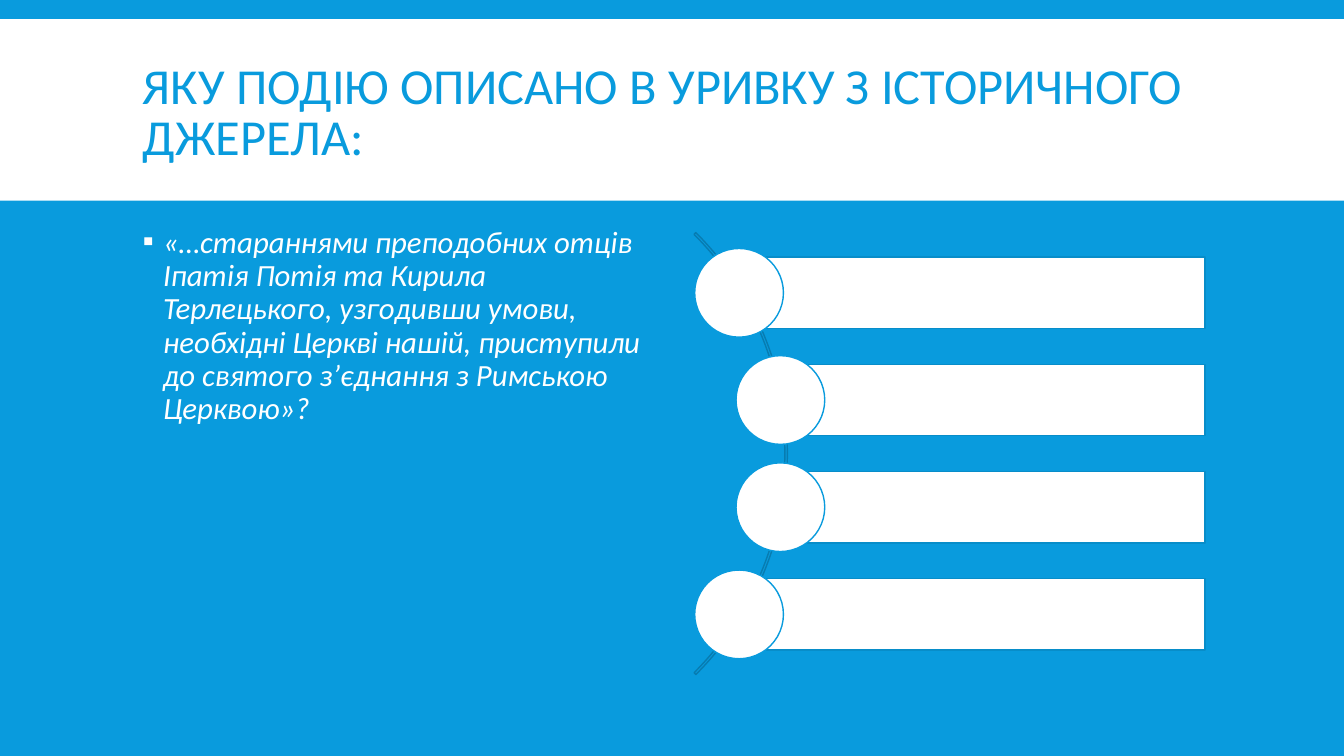
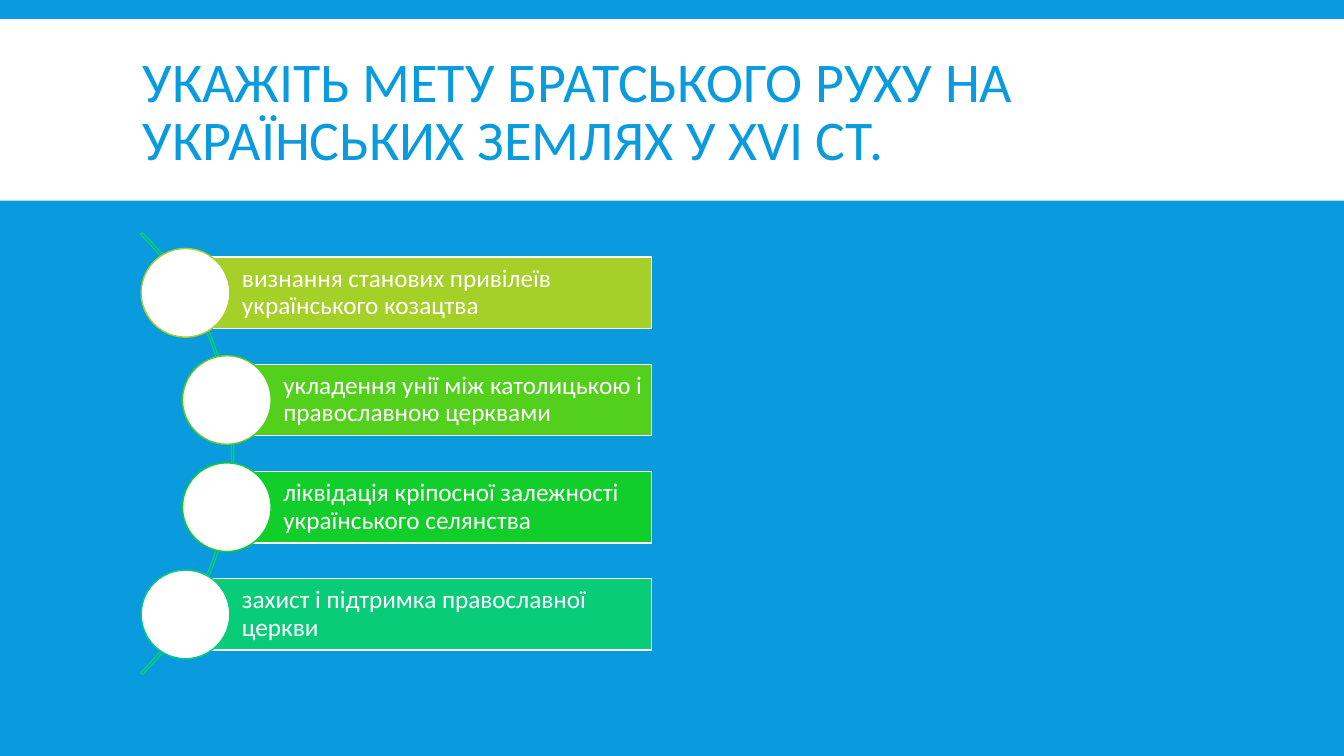
from pptx import Presentation
from pptx.dml.color import RGBColor
from pptx.enum.shapes import MSO_SHAPE
from pptx.enum.text import MSO_ANCHOR, PP_ALIGN
from pptx.oxml.ns import qn
from pptx.util import Inches, Pt
from lxml.etree import SubElement

# Content
COLORS = {"blue": "099BDD", "white": "FFFFFF", "edge": "088DC9", "arc": "077CB1",
          "lime": "A5D028", "grass": "53D01C", "green": "12CE2B", "mint": "08CC78"}

SLIDES = [
    {"title": "ЯКУ ПОДІЮ ОПИСАНО В УРИВКУ З ІСТОРИЧНОГО ДЖЕРЕЛА:",
     "title_size": 36,
     "quote": "«…стараннями преподобних отців Іпатія Потія та Кирила Терлецького, "
              "узгодивши умови, необхідні Церкві нашій, приступили до святого "
              "з’єднання з Римською Церквою»?",
     "list_left": 7.33, "arc": "arc",
     # Each answer: text, bar fill, bar line, circle line
     "answers": [("", "white", "edge", "blue")] * 4},
    {"title": "УКАЖІТЬ МЕТУ БРАТСЬКОГО РУХУ НА УКРАЇНСЬКИХ ЗЕМЛЯХ У XVI СТ.",
     "title_size": 40,
     "list_left": 1.84, "arc": "mint",
     "answers": [
         ("визнання станових привілеїв українського козацтва", "lime", "white", "lime"),
         ("укладення унії між католицькою і православною церквами", "grass", "white", "grass"),
         ("ліквідація кріпосної залежності українського селянства", "green", "white", "green"),
         ("захист і підтримка православної церкви", "mint", "white", "mint")]},
]

# Shared formats
FONT = "Calibri"
TITLE_BOX = (1.32, 0.31, 10.7, 1.65)
QUOTE_BOX = (1.32, 2.2, 5.2, 4.6)
BAR_WIDTH, BAR_HEIGHT = 4.62, 0.71
FIRST_TOP, LAST_TOP = 2.55, 5.74
CIRCLE = 0.88
INNER_INDENT = 0.41
ARC_SIZE, ARC_TOP, ARC_OFFSET = 6.2, 1.4, -5.72
ARC_ADJUSTMENTS = (189, 27, 0.004)
BAR_FRAME = {"margin_left": Inches(0.56), "margin_right": Inches(0.05),
             "margin_top": Inches(0.05), "margin_bottom": Inches(0.05)}


def rgb(name):
    return RGBColor.from_string(COLORS[name])


def add_part(page, kind, place, fill=None, line=None):
    shape = page.shapes.add_shape(kind, *map(Inches, place))
    shape.shadow.inherit = False
    if fill:
        shape.fill.solid()
        shape.fill.fore_color.rgb = rgb(fill)
    else:
        shape.fill.background()
    if line:
        shape.line.color.rgb = rgb(line)
        shape.line.width = Pt(1)
    else:
        shape.line.fill.background()
    return shape


def write(box, text, size, color, spacing, anchor=MSO_ANCHOR.MIDDLE, italic=False,
          bullet=None, frame_format=None):
    frame = box.text_frame
    settings = {"word_wrap": True, "vertical_anchor": anchor, **(frame_format or {})}
    for name, value in settings.items():
        setattr(frame, name, value)
    para = frame.paragraphs[0]
    para.alignment = PP_ALIGN.LEFT
    para.line_spacing = spacing
    if bullet:
        add_bullet(para, bullet)
    span = para.add_run()
    span.text = text
    for name, value in {"name": FONT, "size": Pt(size), "italic": italic}.items():
        setattr(span.font, name, value)
    span.font.color.rgb = rgb(color)


def add_bullet(para, mark):
    properties = para._p.get_or_add_pPr()
    properties.set("marL", str(Inches(0.2)))
    properties.set("indent", str(-Inches(0.2)))
    color = SubElement(properties, qn("a:buClr"))
    SubElement(color, qn("a:srgbClr"), val=COLORS["white"])
    SubElement(properties, qn("a:buFont"), typeface=FONT)
    SubElement(properties, qn("a:buChar"), char=mark)


def add_answers(page, left, arc_color, answers):
    # Arc behind the bars
    arc = add_part(page, MSO_SHAPE.BLOCK_ARC,
                   (left + ARC_OFFSET, ARC_TOP, ARC_SIZE, ARC_SIZE), line=arc_color)
    for index, value in enumerate(ARC_ADJUSTMENTS):
        arc.adjustments[index] = value

    # Bars share a right edge; the inner ones follow the arc
    last = len(answers) - 1
    pitch = (LAST_TOP - FIRST_TOP) / last
    for index, (text, fill, line, circle_line) in enumerate(answers):
        indent = INNER_INDENT if 0 < index < last else 0
        bar_left, top = left + indent, FIRST_TOP + index * pitch
        bar = add_part(page, MSO_SHAPE.RECTANGLE,
                       (bar_left, top, BAR_WIDTH - indent, BAR_HEIGHT), fill, line)
        if text:
            write(bar, text, 18, "white", 0.9, frame_format=BAR_FRAME)
        circle_top = top + (BAR_HEIGHT - CIRCLE) / 2
        add_part(page, MSO_SHAPE.OVAL,
                 (bar_left - CIRCLE / 2, circle_top, CIRCLE, CIRCLE), "white", circle_line)


def add_page(deck, content):
    page = deck.slides.add_slide(deck.slide_layouts[6])
    # Title band
    add_part(page, MSO_SHAPE.RECTANGLE, (0, 0.19, deck.slide_width.inches, 1.8), "white")
    title = page.shapes.add_textbox(*map(Inches, TITLE_BOX))
    write(title, content["title"], content["title_size"], "blue", 0.85)
    # Quoted source
    if "quote" in content:
        quote = page.shapes.add_textbox(*map(Inches, QUOTE_BOX))
        write(quote, content["quote"], 22, "white", 0.9, MSO_ANCHOR.TOP,
              italic=True, bullet="▪")
    add_answers(page, content["list_left"], content["arc"], content["answers"])


def main():
    deck = Presentation()
    deck.slide_width, deck.slide_height = Inches(13.33), Inches(7.5)
    background = deck.slide_master.background.fill
    background.solid()
    background.fore_color.rgb = rgb("blue")
    for content in SLIDES:
        add_page(deck, content)
    deck.save("out.pptx")


if __name__ == "__main__":
    main()
